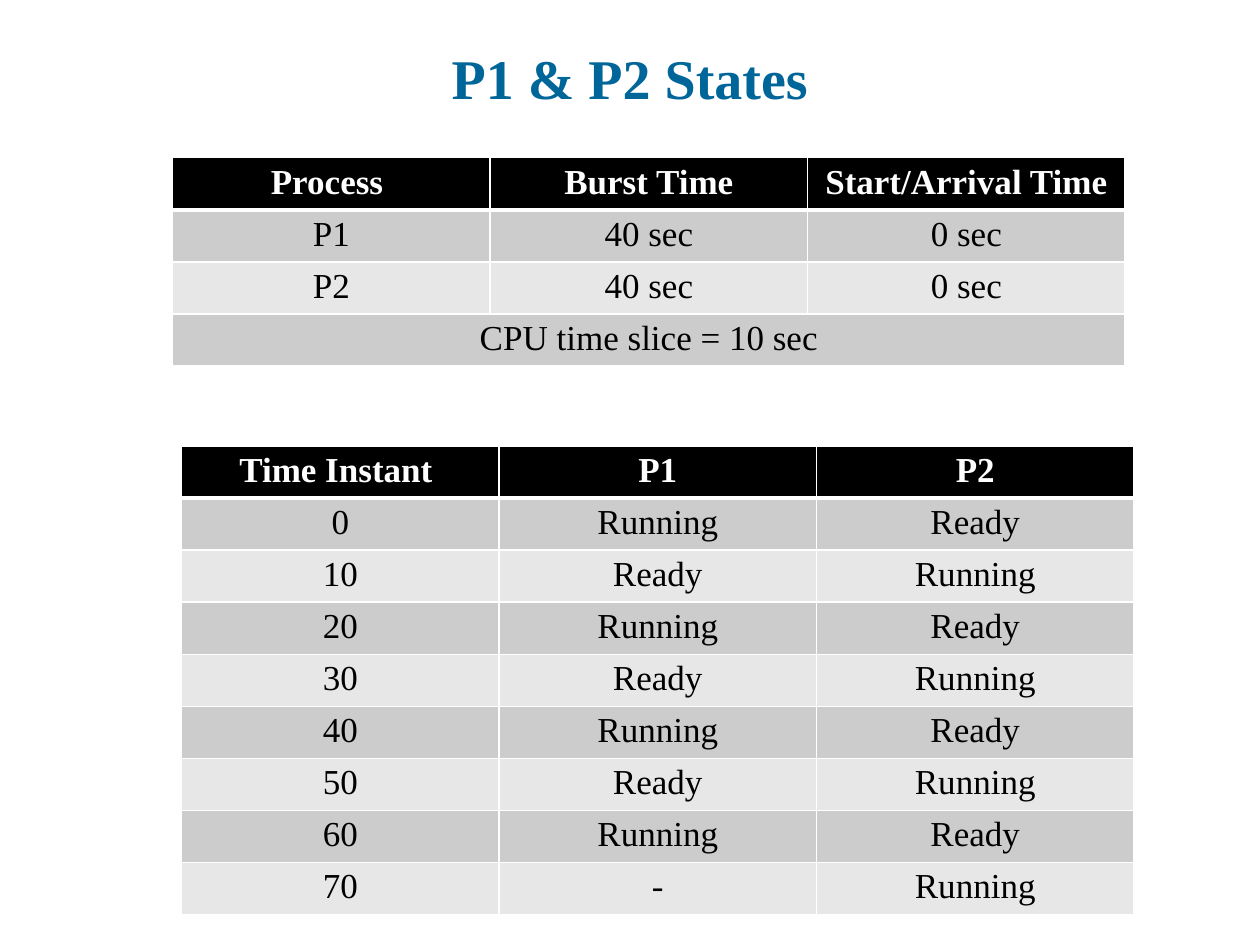
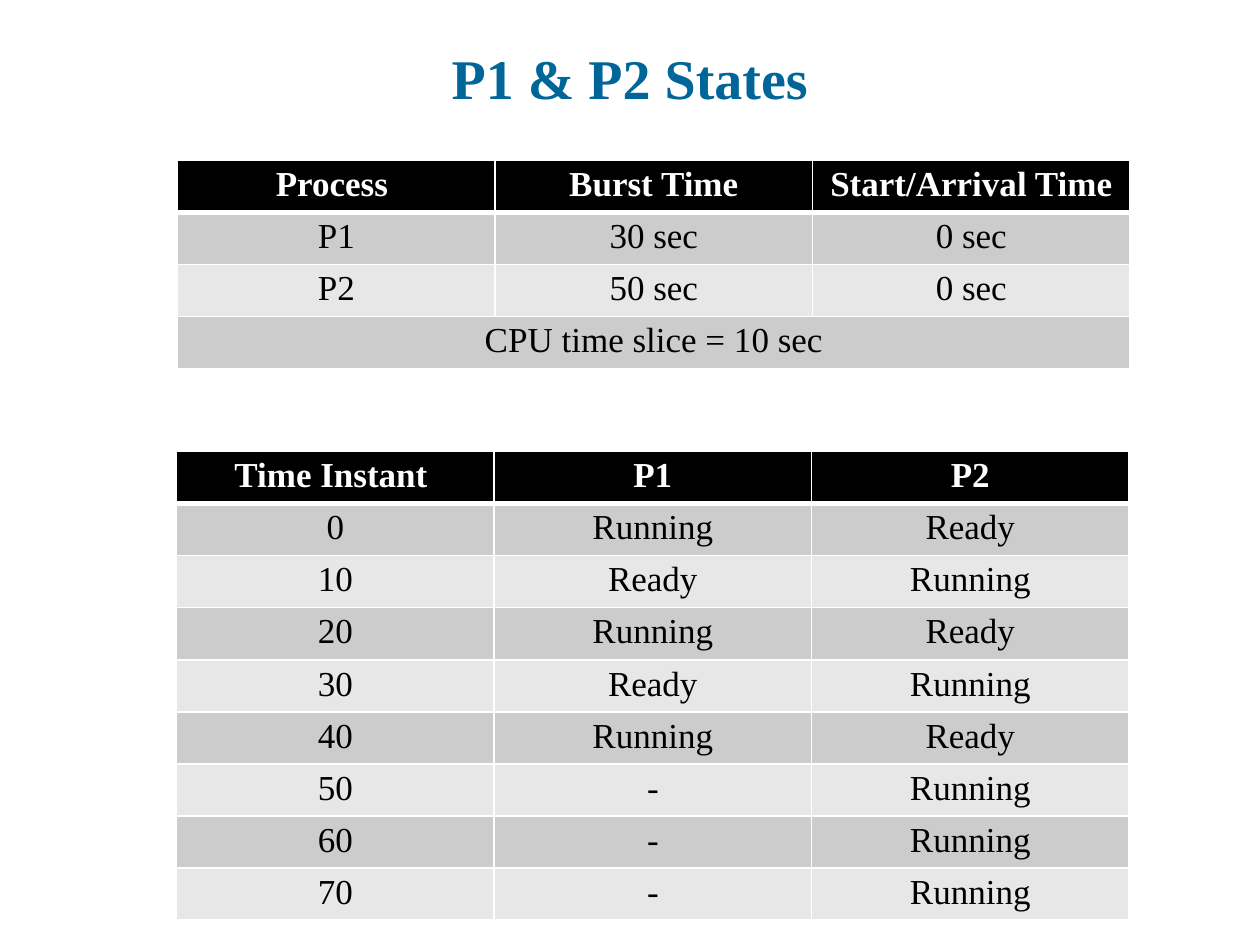
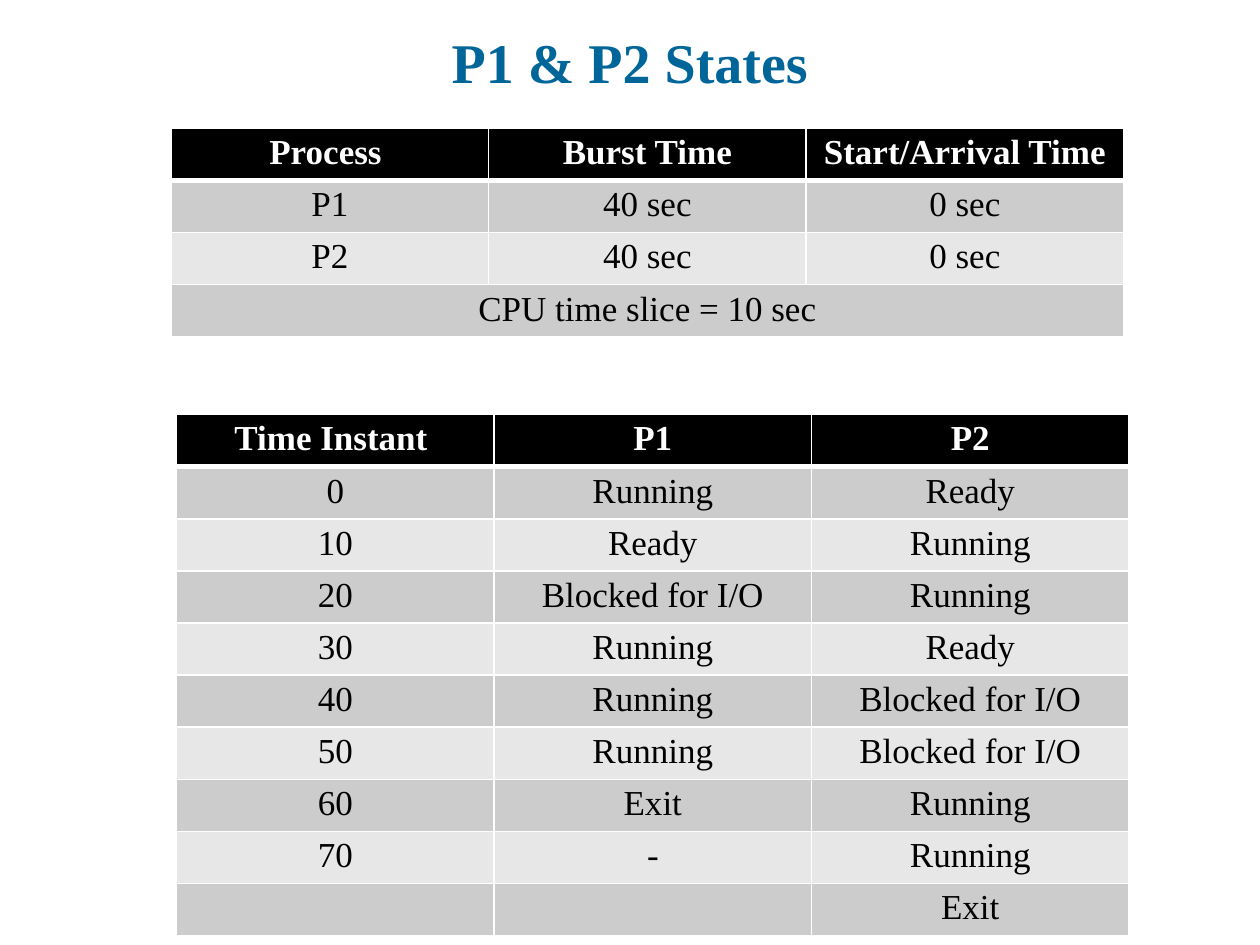
from lxml import etree
from pptx import Presentation
from pptx import util as u
from pptx.dml import color
from pptx.enum import text
from pptx.oxml import ns

# Shared look
FONT = "Times New Roman"
TITLE_COLOUR, HEAD_FILL, HEAD_TEXT, BODY_TEXT = "006699", "000000", "FFFFFF", "000000"
BAND_FILLS = ("CCCCCC", "E7E7E7")
BORDER = "FFFFFF"
THIN, THICK = 1, 3
COLUMN_WIDTH, ROW_HEIGHT = 6.4, 1.05
TITLE = "P1 & P2 States"
TITLE_FORMAT = {"name": FONT, "size": u.Pt(32), "bold": True}
HEAD_FORMAT = {"name": FONT, "size": u.Pt(20), "bold": True}
BODY_FORMAT = {**HEAD_FORMAT, "bold": False}
CELL_FORMAT = {"margin_left": u.Cm(0.18), "margin_right": u.Cm(0.18),
               "margin_top": u.Cm(0.1), "margin_bottom": u.Cm(0.1)}

# Content: title top, then left and top of each table, in cm
STATE_HEAD = ("Time Instant ", "P1", "P2")
PROCESS_HEAD = ("Process ", "Burst Time", "Start/Arrival Time")
RUN, READY, BLOCKED, EXIT, DONE = "Running", "Ready", "Blocked for I/O", "Exit", "-"
SLIDES = [
    {"title_top": 0.76, "states_at": (3.66, 8.99), "processes_at": (3.48, 3.18),
     "bursts": (40, 40),
     "p1": [RUN, READY] * 3 + [RUN, DONE],
     "p2": [READY, RUN] * 4},
    {"title_top": 0.76, "states_at": (3.56, 9.1), "processes_at": (3.58, 3.23),
     "bursts": (30, 50),
     "p1": [RUN, READY] * 2 + [RUN] + [DONE] * 3,
     "p2": [READY, RUN] * 2 + [READY] + [RUN] * 3},
    {"title_top": 0.43, "states_at": (3.56, 8.36), "processes_at": (3.45, 2.59),
     "bursts": (40, 40),
     "p1": [RUN, READY, BLOCKED, RUN, RUN, RUN, EXIT, DONE, ""],
     "p2": [READY, RUN, RUN, READY, BLOCKED, BLOCKED, RUN, RUN, EXIT]},
]


def rgb(code):
    return color.RGBColor.from_string(code)


def set_all(target, values):
    for name, value in values.items():
        setattr(target, name, value)


def write(frame, words, values, colour):
    """Put one centred line into a text frame."""
    para = frame.paragraphs[0]
    para.alignment = text.PP_ALIGN.CENTER
    if words:
        span = para.add_run()
        span.text = words
        set_all(span.font, values)
        span.font.color.rgb = rgb(colour)


def add_title(page, top):
    box = page.shapes.add_textbox(u.Cm(1.27), u.Cm(top), u.Cm(22.86), u.Cm(1.6))
    set_all(box.text_frame, {"word_wrap": True,
                             "vertical_anchor": text.MSO_ANCHOR.BOTTOM})
    write(box.text_frame, TITLE, TITLE_FORMAT, TITLE_COLOUR)


def add_borders(cell, top, bottom):
    properties = cell._tc.get_or_add_tcPr()
    for side, width in (("L", THIN), ("R", THIN), ("T", top), ("B", bottom)):
        line = etree.SubElement(properties, ns.qn(f"a:ln{side}"), w=str(u.Pt(width)))
        fill = etree.SubElement(line, ns.qn("a:solidFill"))
        etree.SubElement(fill, ns.qn("a:srgbClr"), val=BORDER)


def style_cell(cell, words, row):
    is_head = row == 0
    set_all(cell, CELL_FORMAT)
    add_borders(cell, top=THICK if row == 1 else THIN, bottom=THICK if is_head else THIN)
    cell.fill.solid()
    cell.fill.fore_color.rgb = rgb(HEAD_FILL if is_head else BAND_FILLS[(row - 1) % 2])
    write(cell.text_frame, words, HEAD_FORMAT if is_head else BODY_FORMAT,
          HEAD_TEXT if is_head else BODY_TEXT)


def add_grid(page, position, rows):
    """Add a banded table; a row with a single entry spans all columns."""
    left, top = position
    columns = len(rows[0])
    grid = page.shapes.add_table(
        len(rows), columns, u.Cm(left), u.Cm(top),
        u.Cm(columns * COLUMN_WIDTH), u.Cm(len(rows) * ROW_HEIGHT)).table
    for column in grid.columns:
        column.width = u.Cm(COLUMN_WIDTH)
    for row, entries in enumerate(rows):
        grid.rows[row].height = u.Cm(ROW_HEIGHT)
        if len(entries) == 1:
            grid.cell(row, 0).merge(grid.cell(row, columns - 1))
        for column, words in enumerate(entries):
            style_cell(grid.cell(row, column), words, row)


def state_rows(p1, p2):
    instants = [str(10 * step) if step < 8 else "" for step in range(len(p1))]
    return [STATE_HEAD, *zip(instants, p1, p2)]


def process_rows(bursts):
    processes = [(f"P{number}", f"{burst} sec", "0 sec")
                 for number, burst in enumerate(bursts, 1)]
    return [PROCESS_HEAD, *processes, ("CPU time slice = 10 sec",)]


def main():
    deck = Presentation()
    deck.slide_width, deck.slide_height = u.Cm(25.4), u.Cm(19.05)
    for content in SLIDES:
        page = deck.slides.add_slide(deck.slide_layouts[6])
        add_title(page, content["title_top"])
        add_grid(page, content["states_at"], state_rows(content["p1"], content["p2"]))
        add_grid(page, content["processes_at"], process_rows(content["bursts"]))
    deck.save("out.pptx")


if __name__ == "__main__":
    main()
